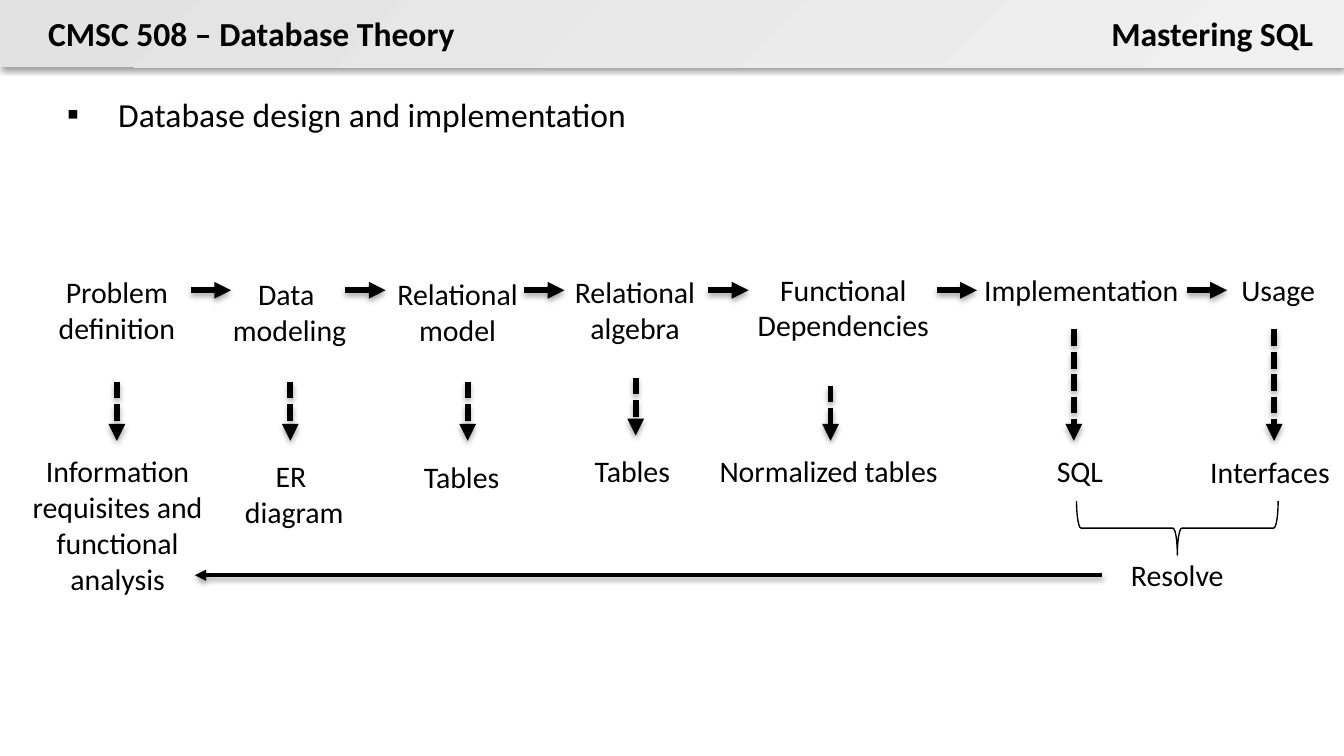
from dataclasses import dataclass
from lxml.etree import SubElement as Sub
from pptx import Presentation
from pptx.dml.color import RGBColor as RGB
from pptx.enum.dml import MSO_LINE as Dash
from pptx.enum.shapes import MSO_CONNECTOR as Conn, MSO_SHAPE as Shape
from pptx.enum.text import MSO_AUTO_SIZE as Auto, PP_ALIGN as Align
from pptx.oxml.ns import qn
from pptx.util import Inches, Pt


@dataclass(frozen=True)
class Theme:
    font: str = "Calibri"
    ink: str = "000000"
    band: tuple = ("E2E2E2", "F0F0F0")
    title: int = 18
    label: int = 16
    thick: float = 3
    medium: float = 2
    thin: float = 0.75


class Canvas:
    """Draws styled elements on one slide, measured in grid cells of a tenth of an inch."""

    def __init__(self, slide, theme):
        self.s, self.t = slide, theme

    def cells(self, *values):
        return [Inches(v / 10) for v in values]

    def shadow(self, sp, alpha, dist):
        props = sp._element.spPr
        effects = props.find(qn("a:effectLst"))
        if effects is None:
            effects = Sub(props, qn("a:effectLst"))
        outer = Sub(effects, qn("a:outerShdw"), blurRad=str(Pt(3.1)), dist=str(Pt(dist)),
                    dir="5400000", rotWithShape="0")
        color = Sub(outer, qn("a:srgbClr"), val=self.t.ink)
        Sub(color, qn("a:alpha"), val=str(alpha * 1000))

    def band(self, *box):
        sp = self.s.shapes.add_shape(Shape.RECTANGLE, *self.cells(*box))
        sp.shadow.inherit = False
        sp.fill.gradient()
        sp.fill.gradient_angle = 315
        for stop, color, place in zip(sp.fill.gradient_stops, self.t.band, (0, 1)):
            stop.color.rgb, stop.position = RGB.from_string(color), place
        sp.line.fill.background()
        self.shadow(sp, 38, 1.6)

    def text(self, box, *paragraphs, align=Align.CENTER, size=None, bold=False, wrap=False):
        tf = self.s.shapes.add_textbox(*self.cells(*box)).text_frame
        tf.word_wrap, tf.auto_size = wrap, Auto.SHAPE_TO_FIT_TEXT
        for i, words in enumerate(paragraphs):
            p = tf.add_paragraph() if i else tf.paragraphs[0]
            p.alignment = align
            for j, line in enumerate(words.split("\n")):
                if j:
                    p.add_line_break()
                r = p.add_run()
                r.text = line
                r.font.name, r.font.bold = self.t.font, bold
                r.font.size = Pt(size or self.t.label)
                r.font.color.rgb = RGB.from_string(self.t.ink)
        return tf

    def bullet(self, box, words):
        tf = self.text(box, words, align=Align.LEFT, size=self.t.title, wrap=True)
        tf.margin_left, tf.margin_top, tf.margin_right, tf.margin_bottom = self.cells(5, 2, 5, 0)
        p = tf.paragraphs[0]
        p.space_after = Pt(10)
        props = p._p.get_or_add_pPr()
        props.set("marL", str(Inches(0.38)))
        props.set("indent", str(Inches(-0.38)))
        Sub(props, qn("a:buFont"), typeface=self.t.font)
        Sub(props, qn("a:buChar"), char="▪")

    def arrow(self, x1, y1, x2, y2, width=None, dashed=False, alpha=35, dist=1.8):
        sp = self.s.shapes.add_connector(Conn.STRAIGHT, *self.cells(x1, y1, x2, y2))
        sp.line.width = Pt(width or self.t.thick)
        sp.line.color.rgb = RGB.from_string(self.t.ink)
        if dashed:
            sp.line.dash_style = Dash.SQUARE_DOT
        Sub(sp._element.spPr.find(qn("a:ln")), qn("a:tailEnd"), type="triangle")
        self.shadow(sp, alpha, dist)

    def brace(self, *box):
        sp = self.s.shapes.add_shape(Shape.RIGHT_BRACE, *self.cells(*box))
        sp.shadow.inherit = False
        sp.rotation = 90
        sp.fill.background()
        sp.line.width = Pt(self.t.thin)
        sp.line.color.rgb = RGB.from_string(self.t.ink)


STEPS = [
    ((2.7, 19.9, 12, 7.1), ("Problem", "definition")),
    ((16.3, 20, 10.5, 6.4), ("Data \nmodeling",)),
    ((28.5, 20, 11.1, 6.4), ("Relational\nmodel",)),
    ((41.7, 19.9, 11.1, 6.4), ("Relational\nalgebra",)),
    ((55.3, 19.7, 14.9, 6.4), ("Functional\nDependencies",)),
    ((71.2, 19.7, 18.5, 4.1), ("Implementation",)),
    ((90.9, 19.7, 8.4, 4.1), ("Usage",)),
]
RESULTS = [
    ((-0.3, 33.2, 18.1, 11.8), "Information requisites and functional analysis", True),
    ((17.2, 33.6, 9.4, 6.4), "ER \ndiagram", False),
    ((30.1, 33.6, 8.5, 4.1), "Tables", False),
    ((42.8, 33.2, 8.5, 4.1), "Tables", False),
    ((51.4, 33.2, 20.5, 4.1), "Normalized tables", False),
    ((77.3, 33.2, 6.1, 4.1), "SQL", False),
    ((88.7, 33.3, 11.6, 3.7), "Interfaces", True),
]
NEXT_ARROWS = [14.2, 25.7, 39, 52.7, 69.7, 88.3]
DOWN_ARROWS = [(8.7, 28.4, 32.8), (21.6, 28.4, 32.8), (34.8, 28.4, 32.8), (47.3, 28.1, 32.4),
               (61.8, 28.7, 32.8), (79.9, 24.5, 32.8), (94.8, 24.5, 32.8)]


def main():
    prs = Presentation()
    prs.slide_width = Inches(10)
    prs.slide_height = prs.slide_width * 9 // 16
    theme = Theme()
    c = Canvas(prs.slides.add_slide(prs.slide_layouts[6]), theme)

    c.band(0, 0, 100, 5)
    c.text((2.6, 0.5, 32.6, 4), "CMSC 508 – Database Theory",
           align=Align.LEFT, size=theme.title, bold=True)
    c.text((81.5, 0.5, 17.2, 4), "Mastering SQL",
           align=Align.RIGHT, size=theme.title, bold=True)
    c.bullet((0, 5, 100, 5), "Database design and implementation")

    for box, words in STEPS:
        c.text(box, *words, wrap=len(words) > 1)
    for box, words, wrap in RESULTS:
        c.text(box, words, wrap=wrap)
    for x in NEXT_ARROWS:
        c.arrow(x, 21.6, x + 3, 21.6)
    for x, top, bottom in DOWN_ARROWS:
        c.arrow(x, top, x, bottom, dashed=True)

    c.brace(85.6, 31.8, 4, 15)
    c.text((83.1, 40.9, 9, 3.7), "Resolve")
    c.arrow(82, 42.8, 14.5, 42.8, width=theme.medium, alpha=38, dist=1.6)
    prs.save("out.pptx")


if __name__ == "__main__":
    main()
